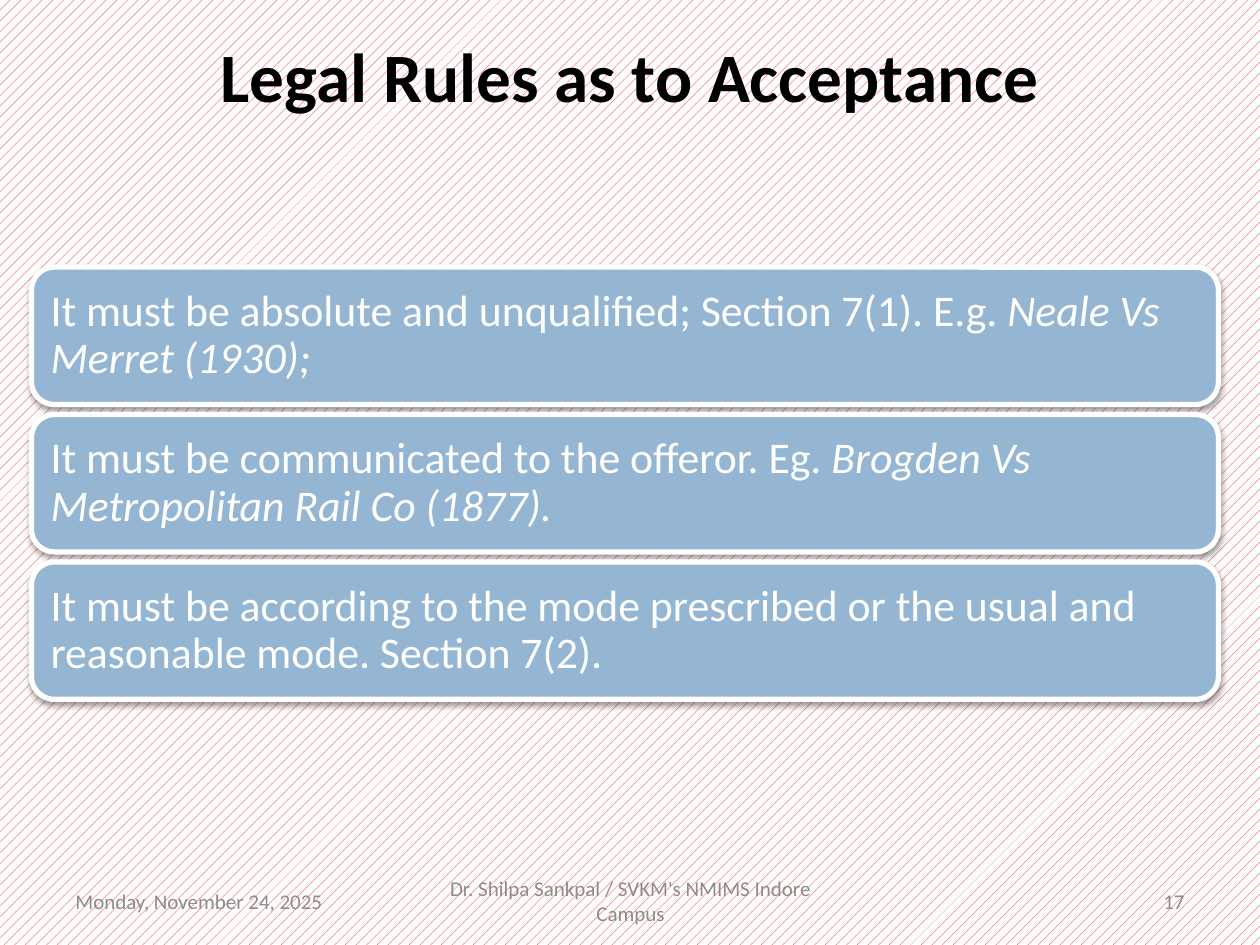
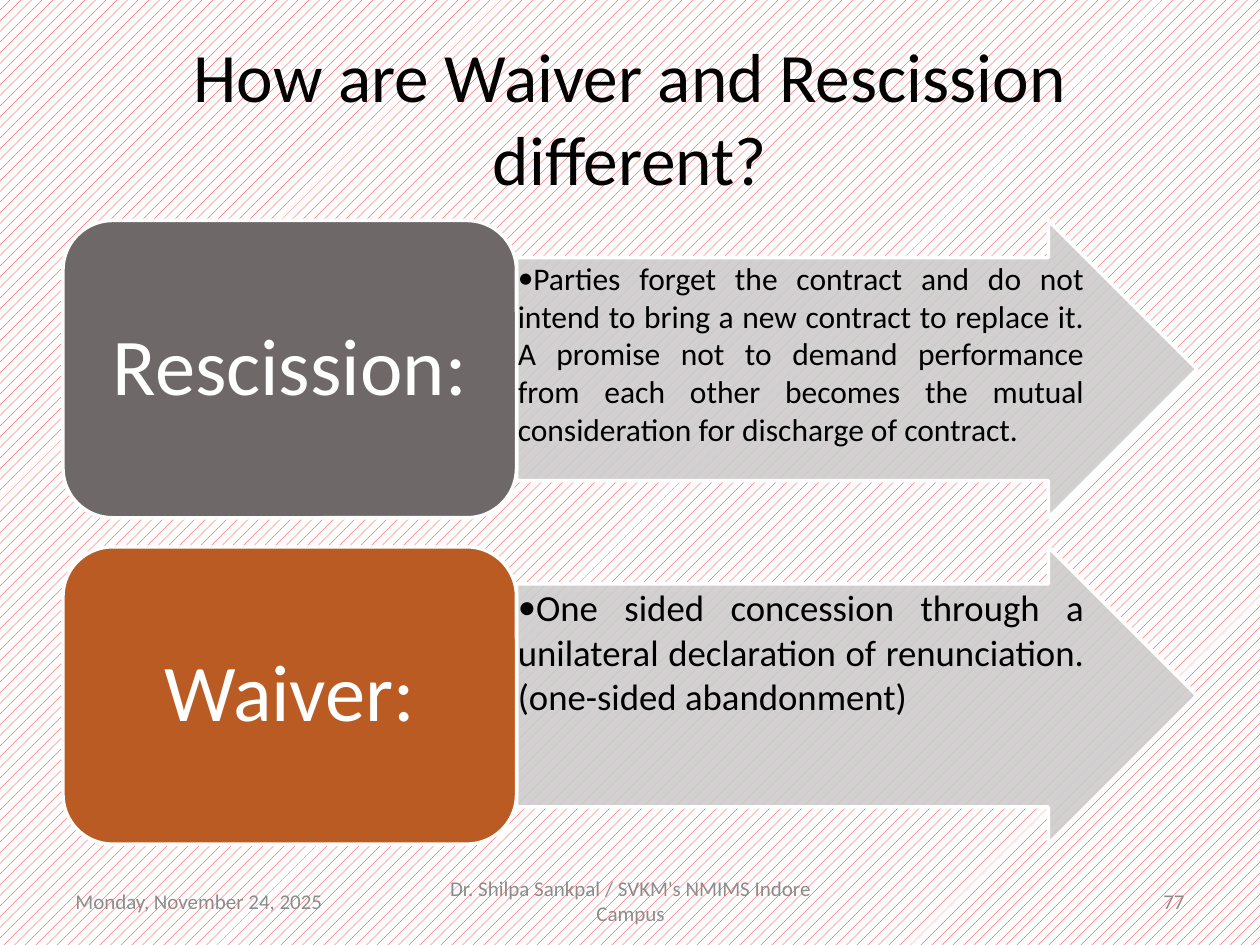
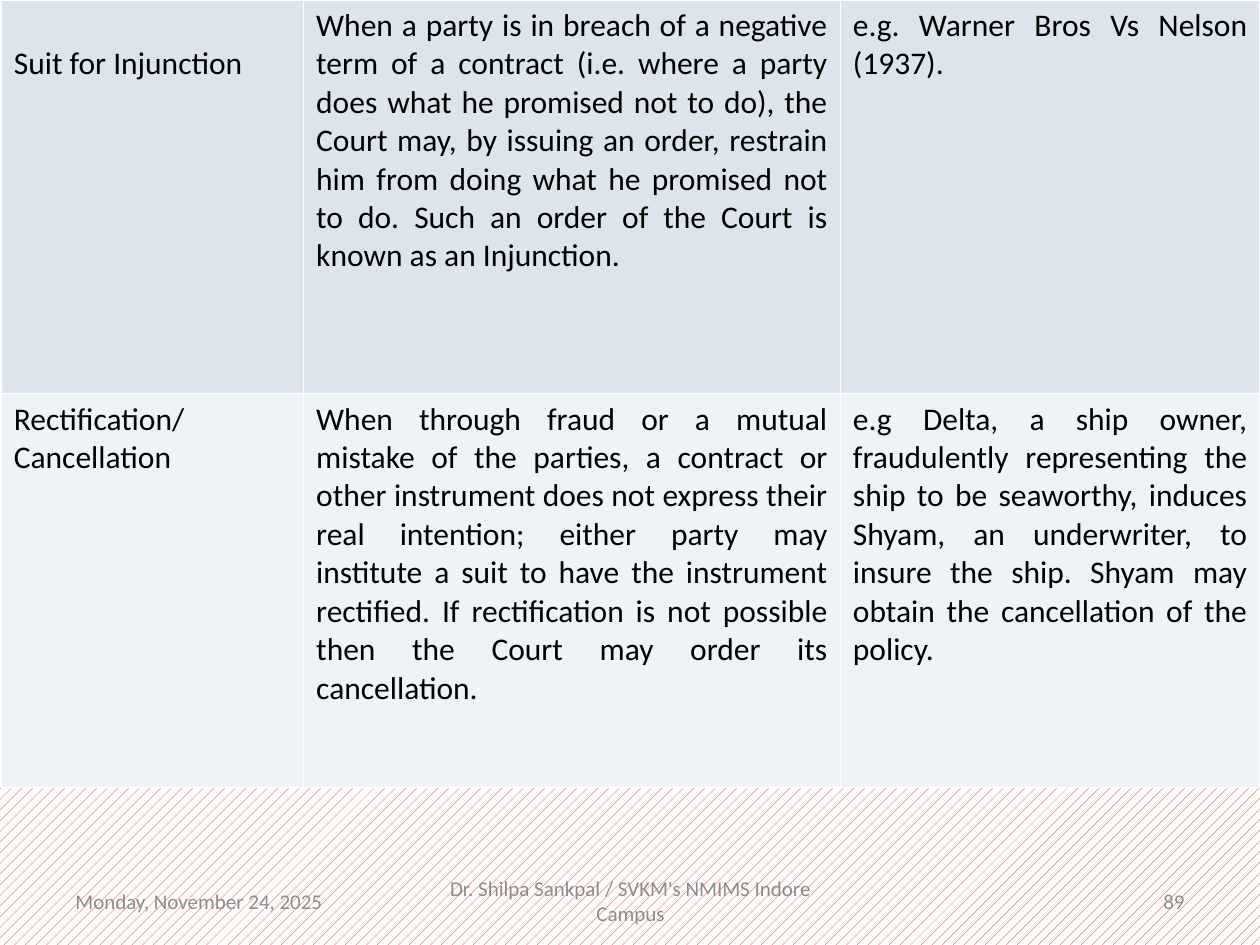
from lxml.etree import SubElement
from pptx import Presentation
from pptx.dml.color import RGBColor
from pptx.enum.dml import MSO_PATTERN
from pptx.enum.shapes import MSO_SHAPE
from pptx.enum.text import MSO_ANCHOR as Anchor, PP_ALIGN as Align
from pptx.oxml.ns import qn
from pptx.util import Inches, Pt

FONT = "Calibri"
BLACK = RGBColor(0x00, 0x00, 0x00)
WHITE = RGBColor(0xFF, 0xFF, 0xFF)
RED = RGBColor(0xFF, 0x00, 0x00)
FOOTER_GREY = RGBColor(0x8C, 0x8C, 0x8C)
RULE_BLUE = RGBColor(0x94, 0xB6, 0xD2)
ARROW_GREY = RGBColor(0xCE, 0xCB, 0xCB)
RESCISSION_GREY = RGBColor(0x6F, 0x68, 0x68)
WAIVER_ORANGE = RGBColor(0xB9, 0x5B, 0x22)
ROW_FILLS = [RGBColor(0xDC, 0xE5, 0xEE), RGBColor(0xEE, 0xF3, 0xF7)]

DATE = "Monday, November 24, 2025"
AUTHOR = "Dr. Shilpa Sankpal / SVKM's NMIMS Indore Campus"

RULES = [
    ("It must be absolute and unqualified; Section 7(1). E.g. ", "Neale Vs Merret (1930);"),
    ("It must be communicated to the offeror. Eg. ", "Brogden Vs Metropolitan Rail Co (1877)."),
    ("It must be according to the mode prescribed or the usual and reasonable mode. Section 7(2).", ""),
]
TERMS = [
    ("Rescission:", RESCISSION_GREY, 18,
     "Parties forget the contract and do not intend to bring a new contract to replace it. "
     "A promise not to demand performance from each other becomes the mutual consideration "
     "for discharge of contract."),
    ("Waiver:", WAIVER_ORANGE, 21,
     "One sided concession through a unilateral declaration of renunciation. "
     "(one-sided abandonment)"),
]
REMEDIES = [
    ("Suit for Injunction",
     "When a party is in breach of a negative term of a contract (i.e. where a party does what "
     "he promised not to do), the Court may, by issuing an order, restrain him from doing what "
     "he promised not to do. Such an order of the Court is known as an Injunction.",
     "e.g. Warner Bros Vs Nelson (1937)."),
    ("Rectification/Cancellation",
     "When through fraud or a mutual mistake of the parties, a contract or other instrument "
     "does not express their real intention; either party may institute a suit to have the "
     "instrument rectified. If rectification is not possible then the Court may order its "
     "cancellation.",
     "e.g Delta, a ship owner, fraudulently representing the ship to be seaworthy, induces "
     "Shyam, an underwriter, to insure the ship. Shyam may obtain the cancellation of the policy."),
]


def write(frame, text, size, color, align=Align.LEFT, bold=False, italic_tail=""):
    """Put one styled paragraph in a text frame and return it."""
    frame.word_wrap = True
    frame.text = text
    para = frame.paragraphs[0]
    para.alignment = align
    if italic_tail:
        tail = para.add_run()
        tail.text = italic_tail
        tail.font.italic = True
    for span in para.runs:
        span.font.name = FONT
        span.font.size = Pt(size)
        span.font.bold = bold
        span.font.color.rgb = color
    return para


def set_insets(frame, left, top, right, bottom):
    """Set the four inner margins of a text frame in inches."""
    frame.margin_left, frame.margin_top = Inches(left), Inches(top)
    frame.margin_right, frame.margin_bottom = Inches(right), Inches(bottom)


def add_label(page, left, top, width, height, text, size, color, align, anchor, bold=False):
    """Add a text box and return its text frame."""
    box = page.shapes.add_textbox(Inches(left), Inches(top), Inches(width), Inches(height))
    write(box.text_frame, text, size, color, align, bold)
    box.text_frame.vertical_anchor = anchor
    return box.text_frame


def add_title(page, text, bold=False):
    """Add the centred slide title."""
    frame = add_label(page, 0.5, 0.26, 9, 1.25, text, 39.6, BLACK, Align.CENTER, Anchor.TOP, bold)
    frame.margin_top = 0


def add_page(deck, number):
    """Add a slide with the patterned background and the footer."""
    page = deck.slides.add_slide(deck.slide_layouts[6])
    fill = page.background.fill
    fill.patterned()
    fill.pattern = MSO_PATTERN.PERCENT_20
    fill.fore_color.rgb = RED
    fill.back_color.rgb = WHITE
    for left, width, text, align in [
        (0.5, 2.33, DATE, Align.LEFT),
        (3.42, 3.17, AUTHOR, Align.CENTER),
        (7.17, 2.33, str(number), Align.RIGHT),
    ]:
        add_label(page, left, 6.95, width, 0.4, text, 12, FOOTER_GREY, align, Anchor.MIDDLE)
    return page


def add_block(page, preset, left, top, width, height, color, line_width):
    """Add a filled shape with a white outline."""
    block = page.shapes.add_shape(preset, Inches(left), Inches(top), Inches(width), Inches(height))
    block.shadow.inherit = False
    block.fill.solid()
    block.fill.fore_color.rgb = color
    block.line.color.rgb = WHITE
    block.line.width = Pt(line_width)
    return block


def add_shadow(block):
    """Give a shape a soft shadow below it."""
    effects = block.element.spPr.find(qn("a:effectLst"))
    shadow = SubElement(effects, qn("a:outerShdw"), blurRad=str(Pt(3.1)), dist=str(Pt(1.6)),
                        dir="5400000", rotWithShape="0")
    black = SubElement(shadow, qn("a:srgbClr"), val=str(BLACK))
    SubElement(black, qn("a:alpha"), val="38000")


def add_rule(page, top, text, case):
    """Add one rounded bar with a rule and its case in italics."""
    bar = add_block(page, MSO_SHAPE.ROUNDED_RECTANGLE, 0.25, top, 9.42, 1.09, RULE_BLUE, 3)
    add_shadow(bar)
    set_insets(bar.text_frame, 0.1, 0.1, 0.1, 0.1)
    bar.text_frame.vertical_anchor = Anchor.MIDDLE
    write(bar.text_frame, text, 25, WHITE, italic_tail=case).line_spacing = 0.9


def add_bullet(para):
    """Mark a paragraph with a bullet in the text font."""
    properties = para._p.get_or_add_pPr()
    SubElement(properties, qn("a:buFont"), typeface=FONT)
    SubElement(properties, qn("a:buChar"), char="•")


def add_term(page, top, name, color, size, meaning):
    """Add a term block and the arrow that explains it."""
    arrow = add_block(page, MSO_SHAPE.RIGHT_ARROW, 4.1, top, 5.4, 2.36, ARROW_GREY, 2)
    arrow.adjustments[0] = 0.75
    arrow.adjustments[1] = 0.5
    tint = arrow.element.spPr.find(qn("a:solidFill"))[0]
    SubElement(tint, qn("a:alpha"), val="90000")
    set_insets(arrow.text_frame, 0.01, 0.01, 0.01, 0.01)
    arrow.text_frame.vertical_anchor = Anchor.TOP
    add_bullet(write(arrow.text_frame, meaning, size, BLACK, Align.JUSTIFY))

    block = add_block(page, MSO_SHAPE.ROUNDED_RECTANGLE, 0.5, top, 3.6, 2.36, color, 2)
    set_insets(block.text_frame, 0.19, 0.1, 0.19, 0.1)
    block.text_frame.vertical_anchor = Anchor.MIDDLE
    write(block.text_frame, name, 46, WHITE, Align.CENTER).line_spacing = 0.9


def add_borders(cell):
    """Draw a thin white line on each side of a cell."""
    properties = cell._tc.get_or_add_tcPr()
    for side in ("a:lnL", "a:lnR", "a:lnT", "a:lnB"):
        line = SubElement(properties, qn(side), w=str(Pt(1)))
        fill = SubElement(line, qn("a:solidFill"))
        SubElement(fill, qn("a:srgbClr"), val=str(WHITE))


def add_remedy_table(page):
    """Add the table of remedies."""
    table = page.shapes.add_table(2, 3, Inches(0.01), 0, Inches(9.99), Inches(6.25)).table
    table.first_row = False
    table.horz_banding = False
    for column, width in zip(table.columns, (2.4, 4.26, 3.33)):
        column.width = Inches(width)
    for row, texts, color in zip(table.rows, REMEDIES, ROW_FILLS):
        for cell, text in zip(row.cells, texts):
            add_borders(cell)
            cell.fill.solid()
            cell.fill.fore_color.rgb = color
            write(cell.text_frame, text, 18, BLACK, Align.JUSTIFY)
    table.cell(0, 0).margin_top = Inches(0.35)


def main():
    """Build the three slides and save the deck."""
    deck = Presentation()
    deck.slide_width, deck.slide_height = Inches(10), Inches(7.5)

    page = add_page(deck, 17)
    add_title(page, "Legal Rules as to Acceptance", bold=True)
    for index, (text, case) in enumerate(RULES):
        add_rule(page, 2.12 + 1.17 * index, text, case)

    page = add_page(deck, 77)
    add_title(page, "How are Waiver and Rescission different?")
    for index, term in enumerate(TERMS):
        add_term(page, 1.75 + 2.59 * index, *term)

    add_remedy_table(add_page(deck, 89))
    deck.save("out.pptx")


if __name__ == "__main__":
    main()
